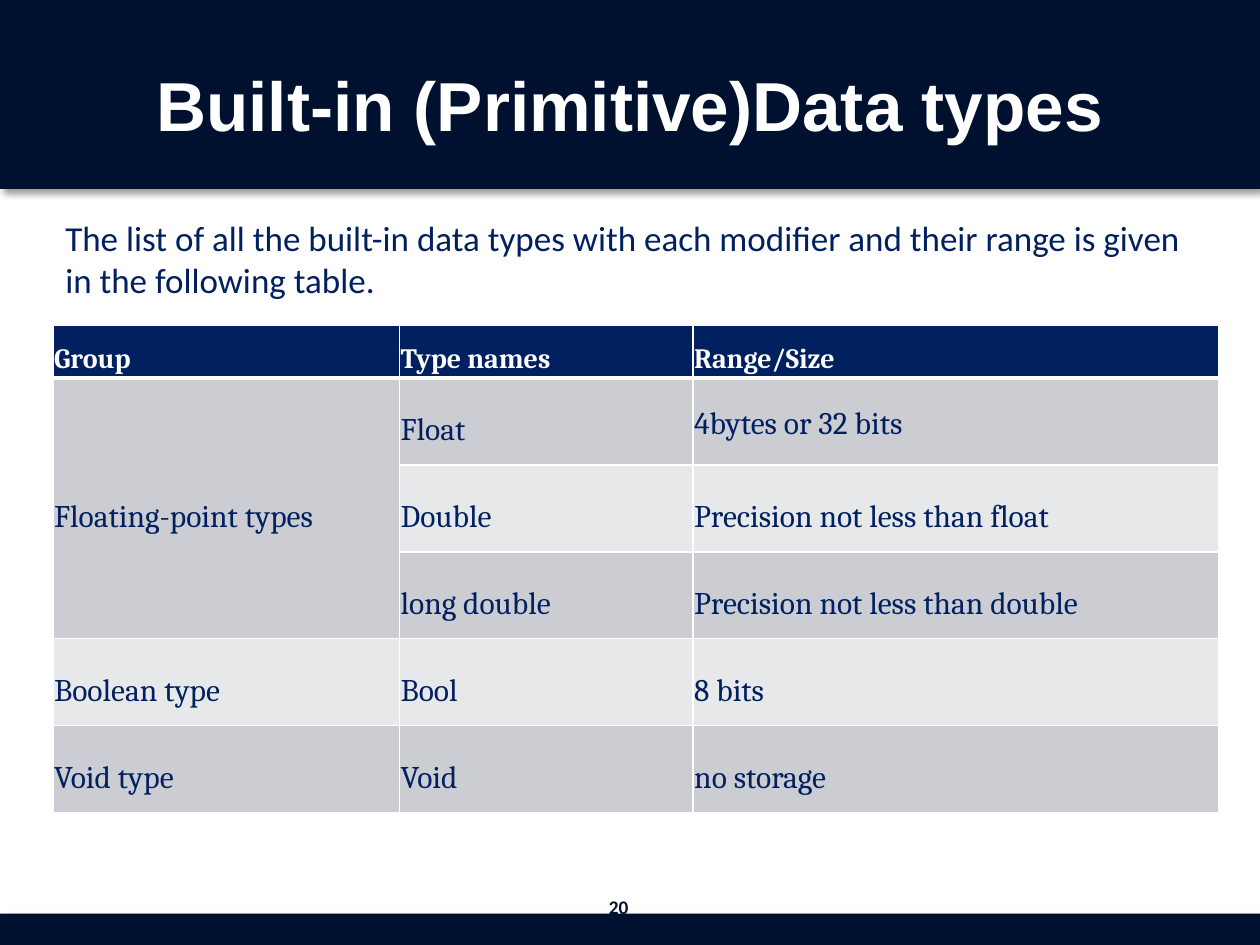
from dataclasses import dataclass

from lxml import etree
from pptx import Presentation
from pptx.dml.color import RGBColor
from pptx.enum.shapes import MSO_SHAPE
from pptx.enum.text import MSO_ANCHOR, PP_ALIGN
from pptx.oxml.ns import qn
from pptx.util import Inches, Pt

RECTANGLE = MSO_SHAPE.RECTANGLE
TOP, MIDDLE = MSO_ANCHOR.TOP, MSO_ANCHOR.MIDDLE
LEFT, CENTER, JUSTIFY = PP_ALIGN.LEFT, PP_ALIGN.CENTER, PP_ALIGN.JUSTIFY

WHITE = RGBColor(0xFF, 0xFF, 0xFF)
BAR_NAVY = RGBColor(0x00, 0x10, 0x2F)
TEXT_NAVY = RGBColor(0x00, 0x20, 0x60)
DARK_BAND = RGBColor(0xCC, 0xCD, 0xD2)
LIGHT_BAND = RGBColor(0xE7, 0xE8, 0xEA)

SLIDE_WIDTH, SLIDE_HEIGHT = 10, 7.5
HEADER_HEIGHT, FOOTER_HEIGHT = 1.5, 0.25
MARGIN = 0.42
COLUMN_WIDTHS = (2.75, 2.33, 4.17)
HEADING_HEIGHT, ROW_HEIGHT = 0.36, 0.69
TABLE_TOP = 2.58
CELL_INSET = 0.01
FLOATING_ROWS = (1, 3)

ROWS = (
    ("Group", "Type names", "Range/Size"),
    ("Floating-point types", "Float", "4bytes or 32 bits"),
    ("", "Double", "Precision not less than\u00a0float"),
    ("", "long double", "Precision not less than\u00a0double"),
    ("Boolean type", "Bool", "8 bits"),
    ("Void type", "Void", "no storage"),
)


@dataclass(frozen=True)
class TextStyle:
    """Look of one paragraph."""

    size: float
    font: str
    color: RGBColor
    bold: bool = False
    align: PP_ALIGN = LEFT
    spacing: float = 1.0


@dataclass(frozen=True)
class Caption:
    """A text box with its place in inches."""

    text: str
    box: tuple[float, float, float, float]
    style: TextStyle
    anchor: MSO_ANCHOR = MIDDLE


CAPTIONS = (
    Caption("Built-in (Primitive)Data types", (0.5, 0.2, 9, 1.25),
            TextStyle(39.6, "Arial", WHITE, True, CENTER)),
    Caption("20", (4.7, 7, MARGIN, 0.4),
            TextStyle(11, "Calibri", BAR_NAVY, True, CENTER)),
    Caption("The list of all the built-in data types with each modifier "
            "and their range is given in the following table.",
            (MARGIN, 1.67, 9.17, 1.11), TextStyle(20, "Calibri", TEXT_NAVY), TOP),
)
HEADING = TextStyle(16, "Cambria", WHITE, True, JUSTIFY, 1.5)
ENTRY = TextStyle(18, "Cambria", TEXT_NAVY, False, JUSTIFY, 1.5)
FLOAT_SIZE = TextStyle(18, "Cambria", TEXT_NAVY, False, LEFT, 1.15)


def write(frame, text: str, style: TextStyle) -> None:
    """Put one styled paragraph into a text frame."""
    paragraph = frame.paragraphs[0]
    paragraph.text = text
    paragraph.alignment = style.align
    paragraph.line_spacing = style.spacing
    font = paragraph.font
    font.size, font.name, font.bold = Pt(style.size), style.font, style.bold
    font.color.rgb = style.color


def add_bar(slide, top: float, height: float) -> None:
    """Draw a full-width navy bar with a soft shadow."""
    bar = slide.shapes.add_shape(
        RECTANGLE, 0, Inches(top), Inches(SLIDE_WIDTH), Inches(height))
    bar.fill.solid()
    bar.fill.fore_color.rgb = BAR_NAVY
    bar.line.fill.background()
    bar.shadow.inherit = False
    effects = bar._element.spPr.find(qn("a:effectLst"))
    shadow = etree.SubElement(effects, qn("a:outerShdw"), blurRad=str(Pt(4)),
                              dist=str(Pt(3)), dir=str(45 * 60000), rotWithShape="0")
    color = etree.SubElement(shadow, qn("a:srgbClr"), val="000000")
    etree.SubElement(color, qn("a:alpha"), val="40000")


def add_caption(slide, caption: Caption) -> None:
    """Place a wrapping text box."""
    frame = slide.shapes.add_textbox(*map(Inches, caption.box)).text_frame
    frame.word_wrap = True
    frame.vertical_anchor = caption.anchor
    write(frame, caption.text, caption.style)


def set_borders(cell, top: float, bottom: float) -> None:
    """Give a cell white borders; sides are one point wide."""
    properties = cell._tc.get_or_add_tcPr()
    widths = {"a:lnL": 1, "a:lnR": 1, "a:lnT": top, "a:lnB": bottom}
    for position, (tag, width) in enumerate(widths.items()):
        border = etree.Element(qn(tag), w=str(Pt(width)))
        fill = etree.SubElement(border, qn("a:solidFill"))
        etree.SubElement(fill, qn("a:srgbClr"), val=str(WHITE))
        properties.insert(position, border)


def cell_style(row: int, column: int) -> TextStyle:
    """Choose the text style for a table position."""
    if row == 0:
        return HEADING
    return FLOAT_SIZE if (row, column) == (1, 2) else ENTRY


def add_type_table(slide) -> None:
    """Build the banded table of data types."""
    heights = (HEADING_HEIGHT,) + (ROW_HEIGHT,) * (len(ROWS) - 1)
    table = slide.shapes.add_table(
        len(ROWS), len(COLUMN_WIDTHS), Inches(MARGIN), Inches(TABLE_TOP),
        Inches(sum(COLUMN_WIDTHS)), Inches(sum(heights))).table
    for column, width in zip(table.columns, COLUMN_WIDTHS):
        column.width = Inches(width)
    for row, height in zip(table.rows, heights):
        row.height = Inches(height)
    first, last = FLOATING_ROWS
    table.cell(first, 0).merge(table.cell(last, 0))
    for r, texts in enumerate(ROWS):
        band = TEXT_NAVY if r == 0 else DARK_BAND if r % 2 else LIGHT_BAND
        for c, text in enumerate(texts):
            cell = table.cell(r, c)
            cell.margin_left = cell.margin_right = Inches(CELL_INSET)
            cell.margin_top = cell.margin_bottom = Inches(CELL_INSET)
            cell.vertical_anchor = MIDDLE
            cell.fill.solid()
            cell.fill.fore_color.rgb = band
            set_borders(cell, 3 if r == 1 else 1, 3 if r == 0 else 1)
            if not cell.is_spanned:
                write(cell.text_frame, text, cell_style(r, c))


def main() -> None:
    """Build and save the slide."""
    deck = Presentation()
    deck.slide_width, deck.slide_height = Inches(SLIDE_WIDTH), Inches(SLIDE_HEIGHT)
    slide = deck.slides.add_slide(deck.slide_layouts[6])
    add_bar(slide, SLIDE_HEIGHT - FOOTER_HEIGHT, FOOTER_HEIGHT)
    add_bar(slide, 0, HEADER_HEIGHT)
    for caption in CAPTIONS:
        add_caption(slide, caption)
    add_type_table(slide)
    deck.save("out.pptx")


main()
